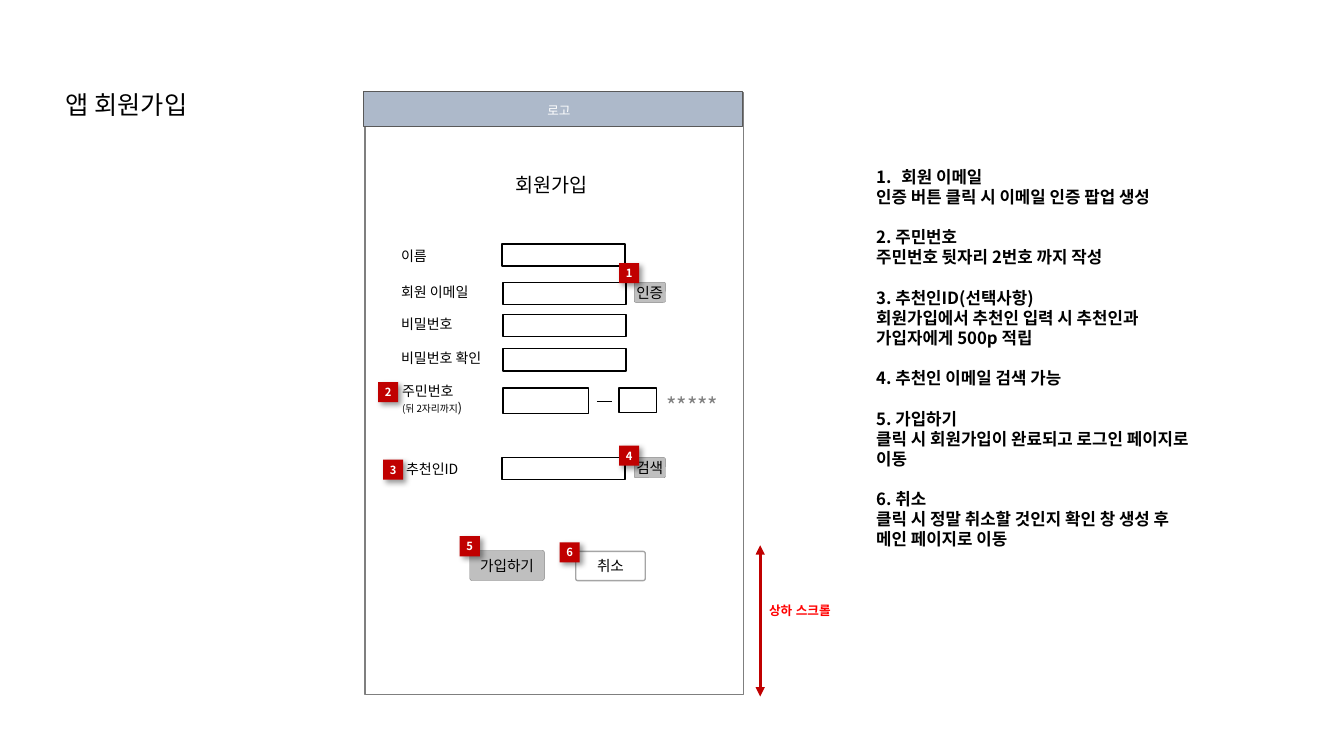
from collections import namedtuple

from lxml import etree
from pptx import Presentation, util as u
from pptx.dml.color import RGBColor
from pptx.enum import shapes, text
from pptx.oxml import parse_xml
from pptx.oxml.ns import nsdecls, qn

FONT = "Noto Sans CJK KR"
BLACK, WHITE, GREY, RED = "000000", "FFFFFF", "BFBFBF", "C00000"
MIDDLE, CENTER = text.MSO_ANCHOR.MIDDLE, text.PP_ALIGN.CENTER
RECT = shapes.MSO_SHAPE.RECTANGLE
ROUNDED = shapes.MSO_SHAPE.ROUNDED_RECTANGLE


class Box(namedtuple("Box", "left top width height")):
    def inner(self, dx, dy, width, height):
        """Return a box whose corner is offset from this one's."""
        return Box(self.left + dx, self.top + dy, width, height)

    def inches(self):
        return [u.Inches(value) for value in self]


def color(value):
    return RGBColor.from_string(value)


def add_span(para, words, size=10, fill=BLACK, bold=False, font=FONT):
    span = para.add_run()
    span.text = words
    span.font.size, span.font.bold, span.font.name = u.Pt(size), bold, font
    span.font.color.rgb = color(fill)
    east_asian = etree.SubElement(span.font._element, qn("a:ea"))
    east_asian.set("typeface", font)


def set_frame(frame, margins=(0.1, 0.05), anchor=text.MSO_ANCHOR.TOP, wrap=True):
    frame.auto_size = text.MSO_AUTO_SIZE.NONE
    frame.word_wrap, frame.vertical_anchor = wrap, anchor
    frame.margin_left = frame.margin_right = u.Inches(margins[0])
    frame.margin_top = frame.margin_bottom = u.Inches(margins[1])


def add_text(page, box, words, anchor=text.MSO_ANCHOR.TOP, **style):
    frame = page.shapes.add_textbox(*box.inches()).text_frame
    set_frame(frame, anchor=anchor)
    add_span(frame.paragraphs[0], words, **style)
    return frame


def add_panel(page, box, kind=RECT, fill=WHITE, line=BLACK, weight=1.0):
    panel = page.shapes.add_shape(kind, *box.inches())
    panel.shadow.inherit = False
    panel.fill.solid()
    panel.fill.fore_color.rgb = color(fill)
    if line:
        panel.line.color.rgb = color(line)
        panel.line.width = u.Pt(weight)
    else:
        panel.line.fill.background()
    return panel


def add_button(page, box, words, fill=GREY, line="808080", weight=0.25):
    button = add_panel(page, box, ROUNDED, fill, line, weight)
    button.adjustments[0] = 0.075
    set_frame(button.text_frame, (0, 0.05), MIDDLE)
    para = button.text_frame.paragraphs[0]
    para.alignment = CENTER
    add_span(para, words, size=10.5)


def add_badge(page, box, number):
    badge = add_panel(page, box, fill=RED, line=None)
    effects = badge._element.spPr.find(qn("a:effectLst"))
    effects.append(parse_xml(
        f'<a:outerShdw {nsdecls("a")} blurRad="50800" dist="38100" dir="2700000" '
        'algn="tl" rotWithShape="0"><a:srgbClr val="000000">'
        '<a:alpha val="40000"/></a:srgbClr></a:outerShdw>'))
    set_frame(badge.text_frame, (0, 0), MIDDLE, wrap=False)
    para = badge.text_frame.paragraphs[0]
    para.alignment = CENTER
    add_span(para, str(number), size=8, fill=WHITE, bold=True)


def add_line(page, start, end, fill, weight, arrows=False):
    line = page.shapes.add_connector(
        shapes.MSO_CONNECTOR.STRAIGHT, *[u.Inches(value) for value in start + end])
    line.line.color.rgb, line.line.width = color(fill), u.Pt(weight)
    etree.SubElement(line._element.spPr, qn("a:effectLst"))
    if arrows:
        outline = line._element.spPr.find(qn("a:ln"))
        for tip in ("a:headEnd", "a:tailEnd"):
            etree.SubElement(outline, qn(tip)).set("type", "triangle")


def place(holder, box):
    holder.left, holder.top, holder.width, holder.height = box.inches()


def fill_title(page, box):
    place(page.shapes.title, box)
    frame = page.shapes.title.text_frame
    set_frame(frame)
    frame.paragraphs[0].alignment = CENTER
    add_span(frame.paragraphs[0], "앱 회원가입", size=18)


def fill_notes(page, box):
    notes = [
        ["회원 이메일", "인증 버튼 클릭 시 이메일 인증 팝업 생성"],
        ["2. 주민번호", "주민번호 뒷자리 2번호 까지 작성"],
        ["3. 추천인ID(선택사항)",
         "회원가입에서 추천인 입력 시 추천인과 가입자에게 500p 적립"],
        ["4. 추천인 이메일 검색 가능"],
        ["5. 가입하기", "클릭 시 회원가입이 완료되고 로그인 페이지로 이동"],
        ["6. 취소", "클릭 시 정말 취소할 것인지 확인 창 생성 후", "메인 페이지로 이동"],
    ]
    holder = page.placeholders[1]
    place(holder, box)
    frame = holder.text_frame
    set_frame(frame)
    line_height = u.Pt(14.4)
    for note_index, note in enumerate(notes):
        for line_index, words in enumerate(note):
            first = note_index == line_index == 0
            para = frame.paragraphs[0] if first else frame.add_paragraph()
            para.line_spacing = line_height
            starts_note = line_index == 0 and not first
            para.space_before = line_height if starts_note else u.Pt(0)
            para.space_after = u.Pt(0)
            indent = u.Inches(0.25) if first else 0
            props = para._p.get_or_add_pPr()
            props.set("marL", str(indent))
            props.set("indent", str(-indent))
            if first:
                etree.SubElement(props, qn("a:buFont")).set("typeface", "+mj-lt")
                etree.SubElement(props, qn("a:buAutoNum")).set("type", "arabicPeriod")
            else:
                etree.SubElement(props, qn("a:buNone"))
            add_span(para, words, size=12, bold=True)


def draw_phone(page, box):
    add_panel(page, box, line="7F7F7F", weight=0.75)
    add_panel(page, box.inner(-0.01, -0.01, 3.76, 0.35), fill="ADB9CA",
              line="595959", weight=0.75)
    add_text(page, box.inner(1.71, 0.05, 1.06, 0.31), "로고", size=9, fill=WHITE)
    add_text(page, box.inner(1.39, 0.75, 1.89, 0.3), "회원가입", size=14)
    draw_form(page, box)
    draw_resident_number(page, box.inner(0.27, 2.83, 3.4, 0.43))
    add_button(page, box.inner(1.04, 4.54, 0.74, 0.3), "가입하기")
    add_button(page, box.inner(2.09, 4.55, 0.69, 0.29), "취소", WHITE, "A5A5A5", 1)
    badges = [(2.52, 1.69), (0.13, 2.87), (0.18, 3.64),
              (2.52, 3.5), (0.94, 4.4), (1.93, 4.46)]
    for number, (dx, dy) in enumerate(badges, 1):
        add_badge(page, box.inner(dx, dy, 0.2, 0.2), number)


def draw_form(page, box):
    rows = [  # label, label dx and dy, field dx and dy, button
        ("이름", 0.26, 1.49, 1.36, 1.5, None),
        ("회원 이메일", 0.26, 1.84, 1.37, 1.88, "인증"),
        ("비밀번호", 0.26, 2.16, 1.37, 2.2, None),
        ("비밀번호 확인", 0.26, 2.5, 1.37, 2.54, None),
        ("추천인ID", 0.31, 3.6, 1.36, 3.62, "검색"),
    ]
    for label, label_dx, label_dy, field_dx, field_dy, button in rows:
        add_text(page, box.inner(label_dx, label_dy, 1.2, 0.27), label)
        add_panel(page, box.inner(field_dx, field_dy, 1.22, 0.22))
        if button:
            add_button(page, box.inner(2.67, field_dy, 0.31, 0.2), button)


def draw_resident_number(page, box):
    frame = add_text(page, box.inner(0, 0, 1.21, 0.43), "주민번호")
    hint = frame.add_paragraph()
    add_span(hint, "(뒤 2자리까지", size=7)
    add_span(hint, ")", size=9)
    add_panel(page, box.inner(1.1, 0.1, 0.85, 0.25))
    dash = box.inner(2.03, 0.23, 0.15, 0)
    add_line(page, (dash.left, dash.top), (dash.left + dash.width, dash.top), BLACK, 0.5)
    add_panel(page, box.inner(2.25, 0.1, 0.37, 0.24))
    add_text(page, box.inner(2.62, 0.15, 1.64, 0.24), "*****", MIDDLE,
             size=16, fill="808080")


def draw_scroll_hint(page, box):
    add_line(page, (box.left, box.top), (box.left, box.top + box.height), RED, 2.25, True)
    add_text(page, box.inner(-0.01, 0.52, 2.16, 0.31), "상하 스크롤",
             size=9, fill="FF0000", bold=True, font="Arial")


def main():
    deck = Presentation()
    deck.slide_width, deck.slide_height = u.Inches(13.33), u.Inches(7.5)
    page = deck.slides.add_slide(deck.slide_layouts[1])
    fill_title(page, Box(0.07, 0.84, 2.37, 0.28))
    draw_phone(page, Box(3.62, 0.92, 3.75, 5.97))
    draw_scroll_hint(page, Box(7.54, 5.41, 2.15, 1.5))
    fill_notes(page, Box(8.59, 1.6, 3.43, 4.34))
    deck.save("out.pptx")


if __name__ == "__main__":
    main()
